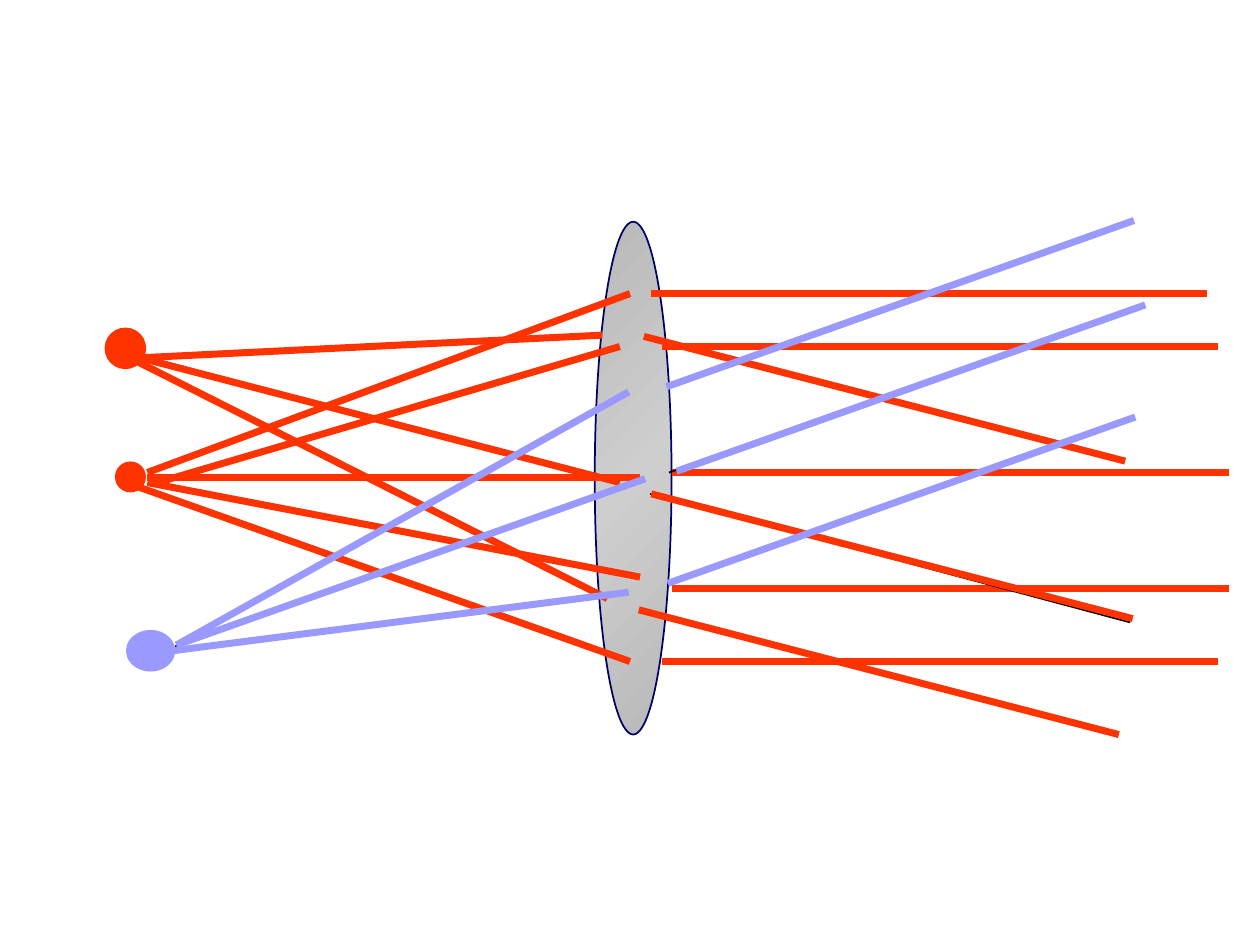
from copy import deepcopy
from typing import NamedTuple

from lxml import etree
from pptx import Presentation
from pptx.dml.color import RGBColor
from pptx.enum import shapes
from pptx.oxml import ns
from pptx.util import Inches, Pt

RED = RGBColor(0xFF, 0x33, 0x00)
LILAC = RGBColor(0x99, 0x99, 0xFF)
BLACK = RGBColor(0x00, 0x00, 0x00)
NAVY = RGBColor(0x00, 0x00, 0x66)
LENS_EDGE = RGBColor(0xB9, 0xB9, 0xB9)
LENS_MIDDLE = RGBColor(0xCE, 0xCE, 0xCE)

THIN = 1
THICK = 4


class Ray(NamedTuple):
    x1: float
    y1: float
    x2: float
    y2: float


class Oval(NamedTuple):
    left: float
    top: float
    width: float
    height: float
    rotation: float = 0


class Beam(NamedTuple):
    """A light source with its thin guide lines and its thick rays."""
    color: RGBColor
    source: Oval
    outline: float
    guides: list[Ray]
    rays: list[Ray]


def add_ray(slide, ray: Ray, color: RGBColor, width: float) -> None:
    connector = slide.shapes.add_connector(
        shapes.MSO_CONNECTOR.STRAIGHT, *(Inches(value) for value in ray))
    connector.line.color.rgb = color
    connector.line.width = Pt(width)
    etree.SubElement(connector._element.spPr, ns.qn("a:effectLst"))


def add_oval(slide, oval: Oval, color: RGBColor, outline: float):
    shape = slide.shapes.add_shape(
        shapes.MSO_SHAPE.OVAL, *(Inches(value) for value in oval[:4]))
    shape.rotation = oval.rotation
    shape.shadow.inherit = False
    shape.fill.solid()
    shape.fill.fore_color.rgb = color
    if outline:
        shape.line.color.rgb = color
        shape.line.width = Pt(outline)
    else:
        shape.line.fill.background()
    return shape


def add_lens(slide, oval: Oval) -> None:
    lens = add_oval(slide, oval, NAVY, THIN)
    lens.fill.gradient()
    lens.fill.gradient_angle = 315
    # The default gradient has two stops; a third makes it symmetric
    first = lens.fill.gradient_stops[0]._gs
    first.addnext(deepcopy(first))
    stops = zip(lens.fill.gradient_stops, (0, 0.5, 1),
                (LENS_EDGE, LENS_MIDDLE, LENS_EDGE))
    for stop, position, color in stops:
        stop.position = position
        stop.color.rgb = color


def add_beam(slide, beam: Beam) -> None:
    for guide in beam.guides:
        add_ray(slide, guide, BLACK, THIN)
    add_oval(slide, beam.source, beam.color, beam.outline)
    for ray in beam.rays:
        add_ray(slide, ray, beam.color, THICK)


LENS = Oval(4.72, 1.76, 0.61, 4.07)
AXIS_BEHIND_LENS = Ray(5.33, 3.75, 9.08, 3.75)

# Source on the axis: its rays leave the lens level
MIDDLE_BEAM = Beam(
    RED, Oval(0.94, 3.69, 0.19, 0.19), THICK,
    guides=[Ray(1.67, 3.79, 5, 3.79)],
    rays=[
        Ray(1.25, 3.83, 4.92, 2.75),
        Ray(1.17, 3.75, 5, 2.33),
        Ray(1.17, 3.79, 5.08, 3.79),
        Ray(1.17, 3.83, 5.08, 4.58),
        Ray(1, 3.83, 5, 5.25),
        *(Ray(left, y, right, y) for left, right, y in (
            (5.17, 9.58, 2.33), (5.25, 9.67, 2.75), (5.33, 9.75, 3.75),
            (5.33, 9.75, 4.67), (5.25, 9.67, 5.25))),
    ])

# Source above the axis: its rays leave the lens downwards
UPPER_BEAM = Beam(
    RED, Oval(0.83, 2.6, 0.33, 0.33, 1.4), 0,
    guides=[Ray(4.91, 3.83, 1.11, 2.82), Ray(8.97, 4.94, 5.16, 3.92)],
    rays=[
        Ray(1.11, 2.84, 4.78, 2.66),
        Ray(1.03, 2.84, 4.82, 4.75),
        Ray(8.93, 3.66, 5.11, 2.67),
        Ray(8.88, 5.83, 5.07, 4.84),
        Ray(4.92, 3.83, 1.11, 2.84),
        Ray(8.99, 4.91, 5.17, 3.92),
    ])

# Source below the axis: its rays leave the lens upwards
LOWER_BEAM = Beam(
    LILAC, Oval(1, 5, 0.39, 0.33), 0,
    guides=[Ray(5.11, 3.81, 1.39, 5.13), Ray(9.02, 2.43, 5.31, 3.75)],
    rays=[
        Ray(1.4, 5.12, 4.99, 3.11),
        Ray(1.33, 5.17, 4.99, 4.7),
        Ray(9, 1.75, 5.29, 3.07),
        Ray(9.01, 3.31, 5.3, 4.63),
        Ray(5.12, 3.8, 1.4, 5.12),
        Ray(9.09, 2.42, 5.37, 3.74),
    ])


def main() -> None:
    presentation = Presentation()
    presentation.slide_width = Inches(10)
    presentation.slide_height = Inches(7.5)
    slide = presentation.slides.add_slide(presentation.slide_layouts[6])

    add_ray(slide, AXIS_BEHIND_LENS, BLACK, THIN)
    add_lens(slide, LENS)
    for beam in (MIDDLE_BEAM, UPPER_BEAM, LOWER_BEAM):
        add_beam(slide, beam)

    presentation.save("out.pptx")


if __name__ == "__main__":
    main()
